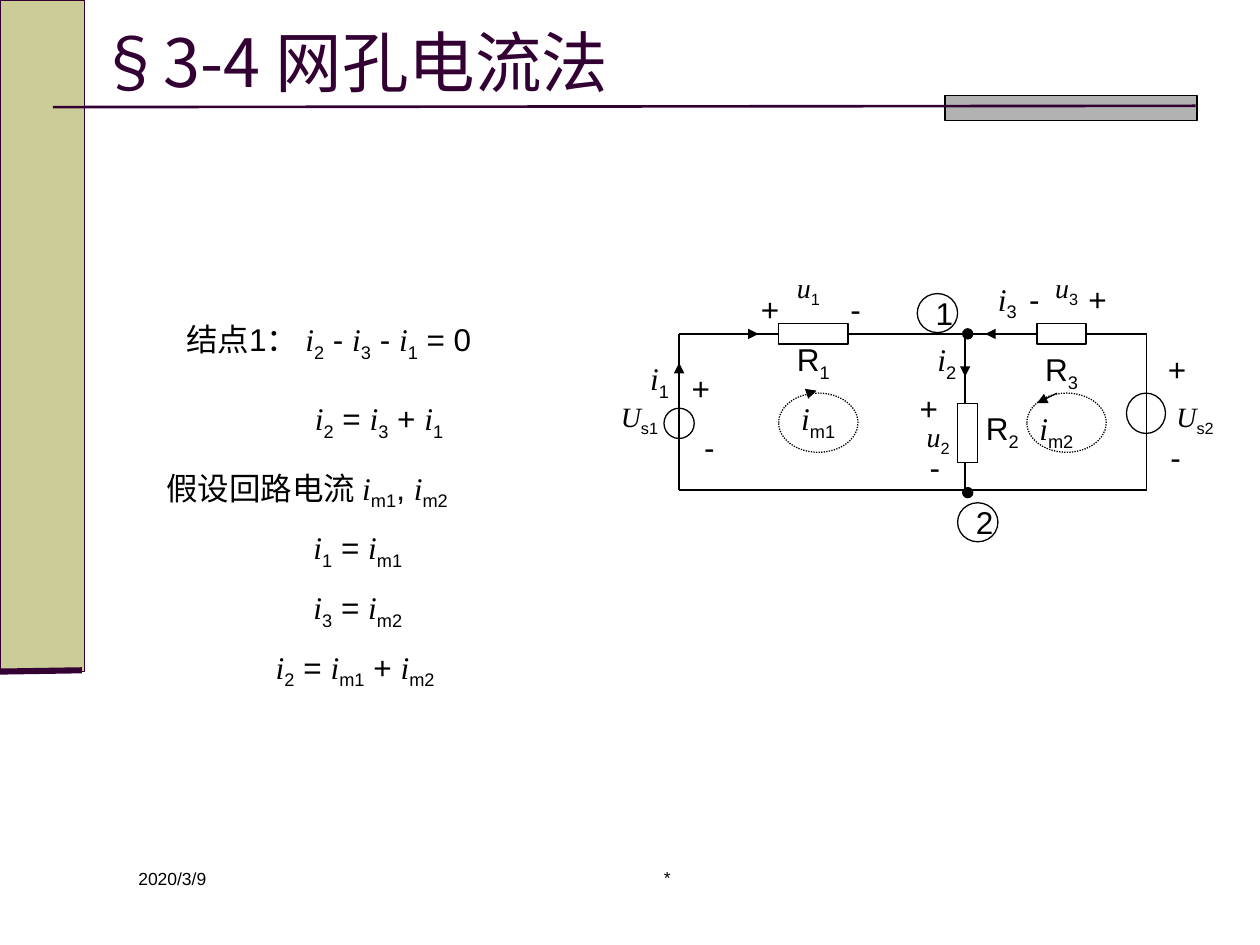
import dataclasses

import lxml.etree
import pptx
import pptx.dml.color
import pptx.enum.dml
import pptx.enum.shapes
import pptx.enum.text
import pptx.oxml.ns
import pptx.util

Inches = pptx.util.Inches
Pt = pptx.util.Pt
qn = pptx.oxml.ns.qn
Align = pptx.enum.text.PP_ALIGN
Anchor = pptx.enum.text.MSO_ANCHOR
AutoSize = pptx.enum.text.MSO_AUTO_SIZE
Shape = pptx.enum.shapes.MSO_SHAPE
DOTTED = pptx.enum.dml.MSO_LINE.ROUND_DOT


@dataclasses.dataclass(frozen=True)
class Theme:
    ink: str = "000000"
    paper: str = "FFFFFF"
    accent: str = "330033"
    band: str = "CCCC99"
    tab: str = "B2B2B2"
    sans: str = "Arial"
    serif: str = "Times New Roman"
    chinese: str = "Noto Sans CJK SC"
    title_size: int = 38
    body_size: int = 18
    voltage_size: int = 16
    footer_size: int = 10
    hairline: float = 0.75


def color(value):
    return pptx.dml.color.RGBColor.from_string(value)


def apply(target, formats):
    for name, value in formats.items():
        setattr(target, name, value)


def variable(letter, index):
    return [(letter, "variable"), (index, "subscript")]


def plain(text):
    return [(text, "plain")]


class CircuitSlide:
    def __init__(self, slide, theme):
        self.slide = slide
        self.theme = theme

    def add_runs(self, frame, pieces, size, align, ink=None, font=None):
        paragraph = frame.paragraphs[0]
        paragraph.alignment = align
        for text, kind in pieces:
            run = paragraph.add_run()
            run.text = text
            is_variable = kind == "variable"
            name = self.theme.serif if is_variable else font or self.theme.sans
            apply(run.font, {"size": Pt(size), "name": name, "italic": is_variable})
            run.font.color.rgb = color(ink or self.theme.ink)
            properties = run.font._element
            lxml.etree.SubElement(properties, qn("a:ea"), typeface=self.theme.chinese)
            if kind == "subscript":
                properties.set("baseline", "-25000")

    def title(self, text, left, top, width, height):
        shape = self.slide.shapes.title
        apply(shape, {"left": Inches(left), "top": Inches(top),
                      "width": Inches(width), "height": Inches(height)})
        apply(shape.text_frame, {"vertical_anchor": Anchor.MIDDLE, "word_wrap": True,
                                 "auto_size": AutoSize.NONE})
        self.add_runs(shape.text_frame, plain(text), self.theme.title_size, Align.LEFT,
                      self.theme.accent, self.theme.chinese)

    def text(self, pieces, left, top, width, height=0.4, size=None,
             align=Align.LEFT, fit=AutoSize.SHAPE_TO_FIT_TEXT):
        box = self.slide.shapes.add_textbox(
            Inches(left), Inches(top), Inches(width), Inches(height))
        apply(box.text_frame, {"word_wrap": True, "auto_size": fit})
        self.add_runs(box.text_frame, pieces, size or self.theme.body_size, align)

    def shape(self, kind, left, top, width, height, fill=None, ink=None, dash=None):
        shape = self.slide.shapes.add_shape(
            kind, Inches(left), Inches(top), Inches(width), Inches(height))
        shape.shadow.inherit = False
        if fill:
            shape.fill.solid()
            shape.fill.fore_color.rgb = color(fill)
        else:
            shape.fill.background()
        shape.line.color.rgb = color(ink or self.theme.ink)
        apply(shape.line, {"width": Pt(self.theme.hairline), "dash_style": dash})
        return shape

    def node_number(self, text, left, top):
        shape = self.shape(Shape.OVAL, left, top, 0.32, 0.31)
        apply(shape.text_frame, {"vertical_anchor": Anchor.MIDDLE, "word_wrap": True})
        self.add_runs(shape.text_frame, plain(text), self.theme.body_size, Align.CENTER)

    def line(self, start_x, start_y, end_x, end_y, ink=None, width=None, arrow=False):
        connector = self.slide.shapes.add_connector(
            pptx.enum.shapes.MSO_CONNECTOR.STRAIGHT,
            Inches(start_x), Inches(start_y), Inches(end_x), Inches(end_y))
        connector.line.color.rgb = color(ink or self.theme.ink)
        connector.line.width = Pt(width or self.theme.hairline)
        properties = connector._element.spPr
        if arrow:
            lxml.etree.SubElement(properties.find(qn("a:ln")), qn("a:tailEnd"), type="triangle")
        lxml.etree.SubElement(properties, qn("a:effectLst"))


def draw_frame(page):
    theme = page.theme
    page.shape(Shape.RECTANGLE, 0, 0, 0.67, 5.33, theme.band, theme.accent)
    page.shape(Shape.RECTANGLE, 7.5, 0.76, 2, 0.2, theme.tab)
    page.line(0.42, 0.85, 9.49, 0.84, theme.accent, 1.5)
    page.line(0, 5.33, 0.65, 5.32, theme.accent, 3.5)
    page.title("§3-4 网孔电流法", 0.67, 0.21, 8.83, 0.55)
    for text, left, top, width, align in (
            ("2020/3/9", 1, 6.84, 2.17, Align.LEFT), ("*", 3.67, 6.83, 3.25, Align.CENTER)):
        page.text(plain(text), left, top, width, 0.5, theme.footer_size, align, AutoSize.NONE)


def draw_equations(page):
    i1, i2, i3 = (variable("i", index) for index in "123")
    mesh1, mesh2 = variable("i", "m1"), variable("i", "m2")
    equals, minus, plus = plain(" = "), plain(" - "), plain(" + ")
    equations = (
        (plain("结点1： ") + i2 + minus + i3 + minus + i1 + plain(" = 0"), 1.38, 2.49, 2.84),
        (i2 + equals + i3 + plus + i1, 2.4, 3.12, 1.42),
        (plain("假设回路电流 ") + mesh1 + plain(", ") + mesh2, 1.22, 3.67, 2.99),
        (plain(" ") + i1 + equals + mesh1, 2.32, 4.14, 1.34),
        (plain(" ") + i3 + equals + mesh2, 2.32, 4.62, 1.34),
        (i2 + equals + mesh1 + plus + mesh2, 2.09, 5.09, 1.97),
    )
    for pieces, left, top, width in equations:
        page.text(pieces, left, top, width)


def draw_circuit(page):
    left, middle, right, top, bottom = 5.39, 7.66, 9.1, 2.65, 3.89
    for wire in ((left, bottom, right, bottom), (left, bottom, left, top),
                 (left, top, right, top), (middle, bottom, middle, top),
                 (right, bottom, right, top)):
        page.line(*wire)
    for resistor in ((6.18, 2.57, 0.55, 0.16), (8.23, 2.57, 0.39, 0.16), (7.6, 3.2, 0.16, 0.47)):
        page.shape(Shape.RECTANGLE, *resistor, page.theme.paper)
    for source in ((5.27, 3.24, 0.24, 0.24), (8.94, 3.12, 0.31, 0.32)):
        page.shape(Shape.OVAL, *source)
    for mesh_left in (6.18, 8.15):
        page.shape(Shape.OVAL, mesh_left, 3.12, 0.63, 0.47, dash=DOTTED)
    for node_top in (2.61, 3.87):
        page.shape(Shape.OVAL, 7.64, node_top, 0.08, 0.08, page.theme.ink)
    for arrow in ((left, 3.35, left, 2.88), (5.63, top, 6.02, top), (middle, 2.76, middle, 2.99),
                  (8.1, top, 7.82, top), (6.42, 3.12, 6.48, 3.1), (8.39, 3.12, 8.23, 3.2)):
        page.line(*arrow, arrow=True)
    page.node_number("1", 7.28, 2.33)
    page.node_number("2", 7.6, 3.99)


def draw_labels(page):
    for index, label_left, label_top in (("1", 6.1, 2.65), ("2", 7.6, 3.2), ("3", 8.07, 2.73)):
        page.text(plain("R") + [(index, "subscript")], label_left, label_top, 0.71,
                  align=Align.CENTER)
    for index, label_left, label_top in (("1", 5, 2.8), ("2", 7.28, 2.65), ("3", 7.76, 2.17)):
        page.text(variable("i", index), label_left, label_top, 0.47, align=Align.CENTER)
    for letter, index, label_left, label_top in (
            ("U", "s1", 4.76, 3.12), ("U", "s2", 9.17, 3.12),
            ("u", "1", 6.1, 2.1), ("u", "2", 7.13, 3.28), ("u", "3", 8.15, 2.1)):
        page.text(variable(letter, index), label_left, label_top, 0.63, 0.37,
                  page.theme.voltage_size, Align.CENTER)
    for index, label_left, label_top in (("m1", 6.26, 3.12), ("m2", 8.15, 3.2)):
        page.text(variable("i", index), label_left, label_top, 0.55)
    source_signs = (("+", 5.39, 2.88), ("-", 5.47, 3.35), ("+", 9.17, 2.73), ("-", 9.17, 3.43))
    resistor_signs = (("+", 7.2, 3.04), ("-", 7.28, 3.51), ("+", 8.54, 2.17),
                      ("-", 8.07, 2.17), ("+", 5.94, 2.25), ("-", 6.65, 2.25))
    for signs, align in ((source_signs, Align.CENTER), (resistor_signs, Align.LEFT)):
        for sign, label_left, label_top in signs:
            page.text(plain(sign), label_left, label_top, 0.32, align=align)


def main():
    presentation = pptx.Presentation()
    apply(presentation, {"slide_width": Inches(10), "slide_height": Inches(7.5)})
    slide = presentation.slides.add_slide(presentation.slide_layouts[5])
    page = CircuitSlide(slide, Theme())
    for draw in (draw_frame, draw_equations, draw_circuit, draw_labels):
        draw(page)
    presentation.save("out.pptx")


if __name__ == "__main__":
    main()
